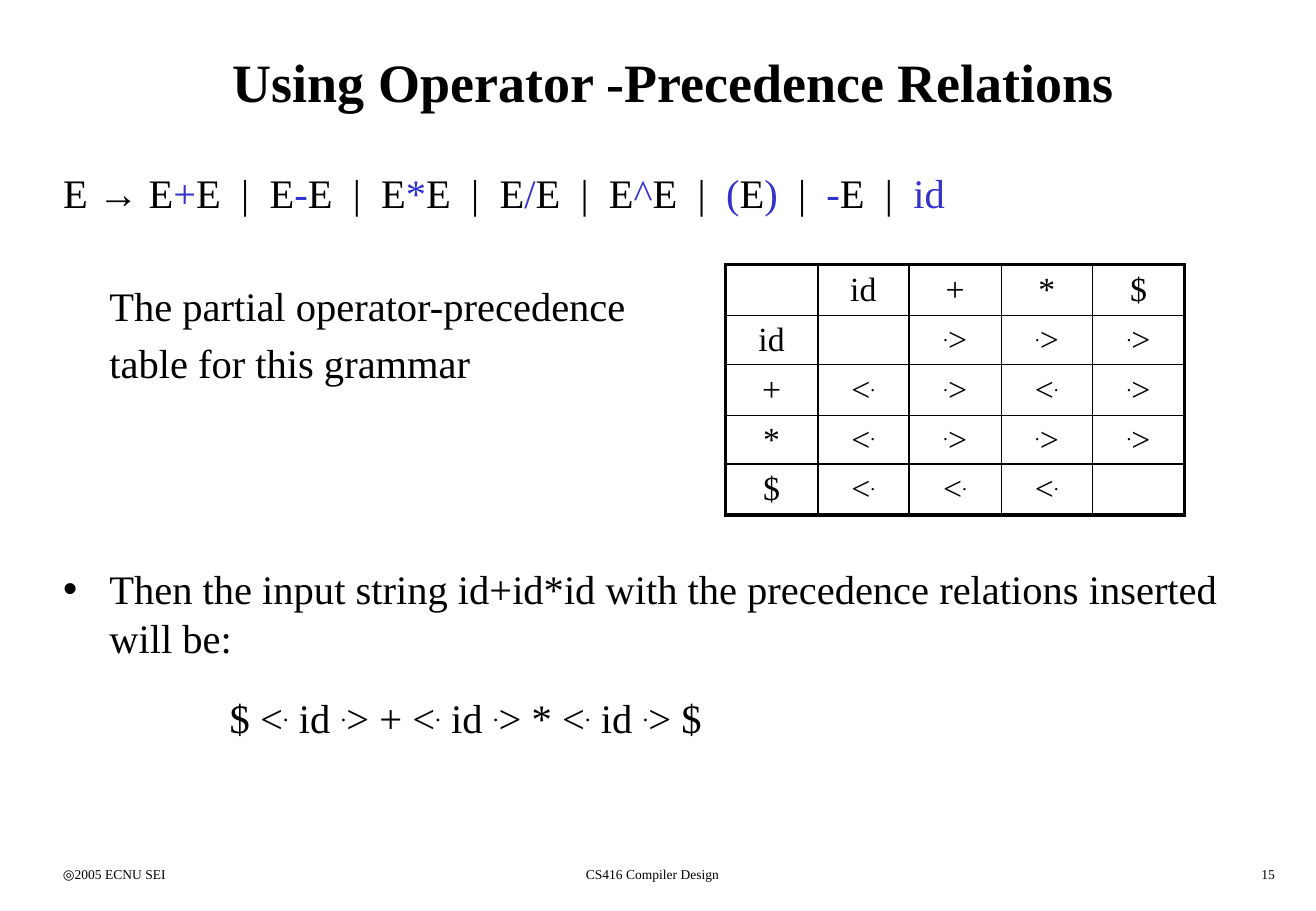
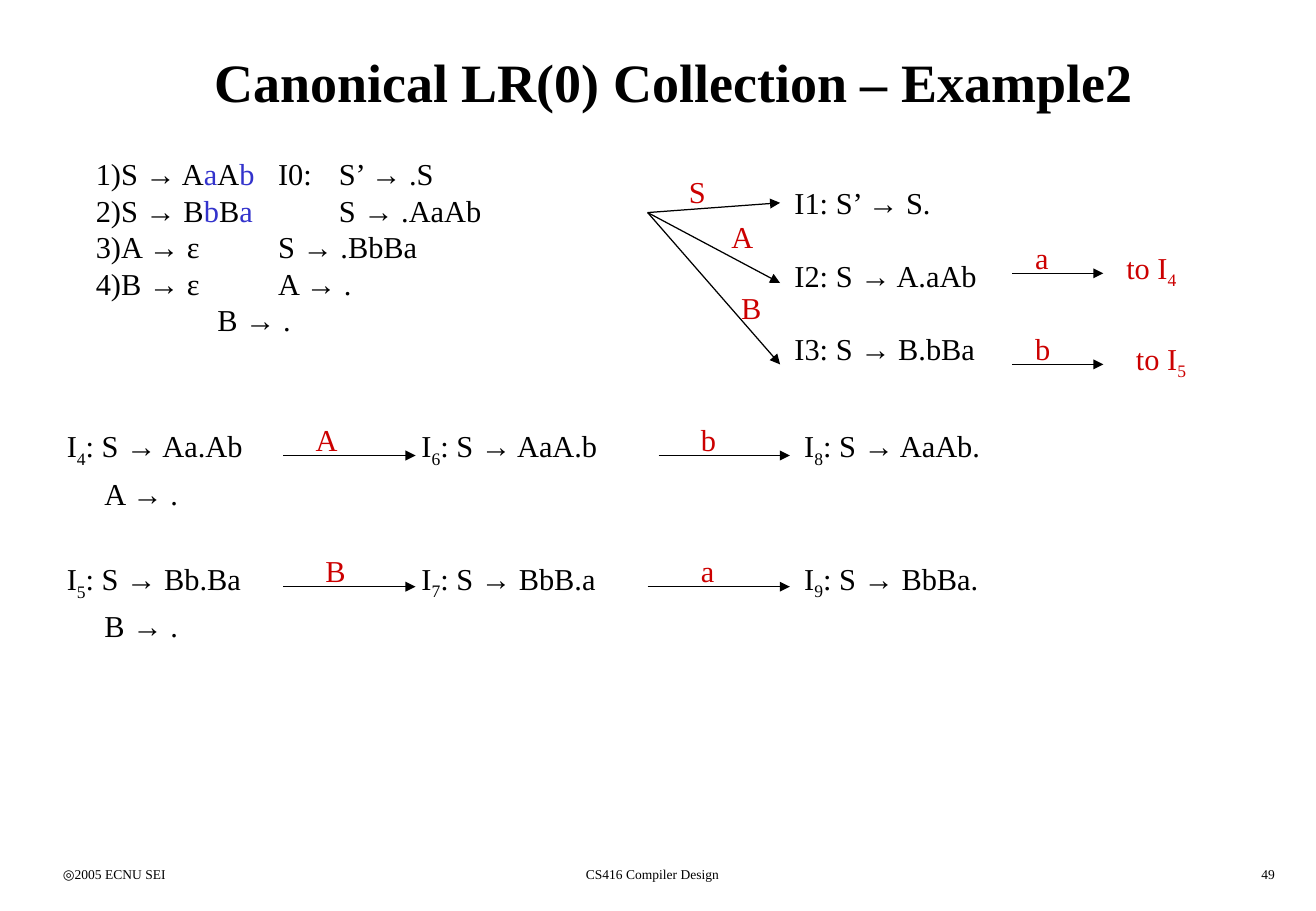
from dataclasses import dataclass
from itertools import accumulate
from typing import Any, NamedTuple, Optional

from lxml.etree import SubElement
from pptx import Presentation
from pptx.dml.color import RGBColor
from pptx.enum.shapes import MSO_CONNECTOR
from pptx.enum.text import MSO_ANCHOR, MSO_AUTO_SIZE, PP_ALIGN
from pptx.oxml.ns import qn
from pptx.util import Emu, Pt

EMU_PER_PX = 9144  # 100 px to the inch
COLORS = {"text": "000000", "terminal": "3333CC", "transition": "CC0000"}
FONT = "Times New Roman"
Style = dict[str, Any]

# Run styles for the marked parts of a text
TERMINAL: Style = {"color": "terminal"}
SUBSCRIPT: Style = {"baseline": -25000}
SUPERSCRIPT: Style = {"baseline": 30000}
WIDE: Style = {"spc": 600}


class Box(NamedTuple):
    left: int
    top: int
    width: int
    height: int


class Arrow(NamedTuple):
    start_x: int
    start_y: int
    end_x: int
    end_y: int


class Label(NamedTuple):
    text: str
    left: int
    top: int
    width: int = 35


@dataclass
class Line:
    """A paragraph; text between ~ marks takes the marked style."""
    text: str
    marked: Optional[Style] = None
    before: float = 0
    margin: int = 0
    bullet: bool = False
    tabs: tuple[int, ...] = ()
    align: PP_ALIGN = PP_ALIGN.LEFT


TITLE_BOX = Box(42, 17, 1025, 100)
FOOTER_BOXES = (Box(42, 708, 226, 25), Box(334, 708, 406, 25), Box(833, 708, 226, 25))
FOOTER_ALIGNS = (PP_ALIGN.LEFT, PP_ALIGN.CENTER, PP_ALIGN.RIGHT)


def px(value: int) -> Emu:
    return Emu(value * EMU_PER_PX)


# Text
def add_runs(paragraph, text: str, size: float, marked: Optional[Style] = None,
             color: str = "text", bold: bool = False) -> None:
    for index, piece in enumerate(text.split("~")):
        if not piece:
            continue
        style = dict(marked or {}) if index % 2 else {}
        run = paragraph.add_run()
        run.text = piece
        run.font.color.rgb = RGBColor.from_string(COLORS[style.pop("color", color)])
        for name, value in {"name": FONT, "size": Pt(size), "bold": bold}.items():
            setattr(run.font, name, value)
        for name, value in style.items():
            run.font._element.set(name, str(value))


def format_paragraph(paragraph, line: Line) -> None:
    properties = paragraph._p.get_or_add_pPr()
    properties.set("marL", str(px(line.margin)))
    properties.set("indent", str(-px(line.margin) if line.bullet else 0))
    if line.bullet:
        SubElement(properties, qn("a:buChar"), char="•")
    else:
        SubElement(properties, qn("a:buNone"))
    if line.tabs:
        tab_list = SubElement(properties, qn("a:tabLst"))
        for position in line.tabs:
            SubElement(tab_list, qn("a:tab"), pos=str(px(position)), algn="l")
    for name, value in {"space_before": Pt(line.before), "alignment": line.align}.items():
        setattr(paragraph, name, value)


def write_lines(frame, lines: list[Line], size: float, color: str = "text",
                bold: bool = False) -> None:
    for index, line in enumerate(lines):
        paragraph = frame.add_paragraph() if index else frame.paragraphs[0]
        format_paragraph(paragraph, line)
        add_runs(paragraph, line.text, size, line.marked, color, bold)


def place(shape, box: Box) -> None:
    for name, value in box._asdict().items():
        setattr(shape, name, px(value))


def add_text(slide, box: Box, lines: list[Line], size: float = 18,
             color: str = "text", wrap: bool = True) -> None:
    frame = slide.shapes.add_textbox(*map(px, box)).text_frame
    frame.word_wrap = wrap
    write_lines(frame, lines, size, color)


# Slide frame: title, body and footers
def add_slide(presentation, title: str, number: int, body_box: Box):
    slide = presentation.slides.add_slide(presentation.slide_layouts[1])
    heading, body = slide.shapes.title, slide.placeholders[1]
    for shape, box, anchor in ((heading, TITLE_BOX, MSO_ANCHOR.MIDDLE),
                               (body, body_box, MSO_ANCHOR.TOP)):
        place(shape, box)
        shape.text_frame.auto_size = MSO_AUTO_SIZE.NONE
        shape.text_frame.vertical_anchor = anchor
    write_lines(heading.text_frame, [Line(title, align=PP_ALIGN.CENTER)], 32, bold=True)
    footers = ("◎2005 ECNU SEI", "CS416 Compiler Design", str(number))
    for box, text, align in zip(FOOTER_BOXES, footers, FOOTER_ALIGNS):
        add_text(slide, box, [Line(text, align=align)], 8)
    return slide, body.text_frame


# Lines and arrows
def add_arrow(slide, arrow: Arrow) -> None:
    connector = slide.shapes.add_connector(MSO_CONNECTOR.STRAIGHT, *map(px, arrow))
    connector.line.color.rgb = RGBColor.from_string(COLORS["text"])
    connector.line.width = Pt(0.75)
    SubElement(connector.line._get_or_add_ln(), qn("a:tailEnd"), type="triangle")
    SubElement(connector._element.spPr, qn("a:effectLst"))


def add_border(cell, side: str, width: float) -> None:
    border = SubElement(cell._tc.get_or_add_tcPr(), qn(f"a:ln{side}"), w=str(Pt(width)))
    fill = SubElement(border, qn("a:solidFill"))
    SubElement(fill, qn("a:srgbClr"), val=COLORS["text"])


# Table of precedence relations
def add_precedence_table(slide) -> None:
    symbols = ("id", "+", "*", "$")
    relations = (" >>>", "<><>", "<>>>", "<<< ")
    marks = {"<": "<~.~", ">": "~.~>", " ": ""}
    rows = [("", *symbols)]
    rows += [(symbol, *(marks[sign] for sign in signs))
             for symbol, signs in zip(symbols, relations)]
    widths, heights = (76, 75, 76, 75, 76), (42, 40, 42, 40, 42)
    box = Box(597, 218, sum(widths), sum(heights))
    table = slide.shapes.add_table(len(rows), len(widths), *map(px, box)).table
    table.first_row = table.horz_banding = False
    for column, width in zip(table.columns, widths):
        column.width = px(width)
    last = len(rows) - 1
    for row_index, texts in enumerate(rows):
        table.rows[row_index].height = px(heights[row_index])
        for column_index, text in enumerate(texts):
            cell = table.cell(row_index, column_index)
            outer = {"L": column_index == 0, "R": column_index == last,
                     "T": row_index == 0, "B": row_index == last}
            for side, is_outer in outer.items():
                add_border(cell, side, 2.25 if is_outer else 1)
            cell.fill.background()
            for name, value in {"margin_top": px(2), "margin_bottom": px(2),
                                "vertical_anchor": MSO_ANCHOR.MIDDLE}.items():
                setattr(cell, name, value)
            write_lines(cell.text_frame,
                        [Line(text, SUPERSCRIPT, align=PP_ALIGN.CENTER)], 20)


def build_relations_slide(presentation) -> None:
    slide, body = add_slide(presentation, "Using Operator -Precedence Relations", 15,
                            Box(42, 133, 973, 558))
    write_lines(body, [
        Line("E → E~+~E", TERMINAL),
        Line("The partial operator-precedence", before=38.4, margin=38),
        Line("table for this grammar", before=4.8, margin=38),
        Line("Then the input string id+id*id with the precedence relations inserted "
             "will be:", before=105.6, margin=38, bullet=True),
        Line("$ <~.~ id ~.~> + <~.~ id ~.~> * <~.~ id ~.~> $", SUPERSCRIPT,
             before=18.8, margin=137),
    ], 24)
    # Remaining alternatives of the grammar, with wide gaps round each bar
    for alternative in ("E~-~E", "E~*~E", "E~/~E", "E~^~E", "~(~E~)~", "~-~E", "~id~"):
        add_runs(body.paragraphs[0], "~ |~", 24, WIDE)
        add_runs(body.paragraphs[0], f" {alternative}", 24, TERMINAL)
    add_precedence_table(slide)


def build_collection_slide(presentation) -> None:
    slide, body = add_slide(presentation, "Canonical LR(0) Collection – Example2", 49,
                            Box(45, 347, 252, 201))
    # Item sets I4 to I9
    write_lines(body, [
        Line("I~4~: S → Aa.Ab", SUBSCRIPT),
        Line("A → .", before=3.6, margin=31),
        Line("I~5~: S → Bb.Ba", SUBSCRIPT, before=28.8),
        Line("B → .", before=3.6, margin=31),
    ], 18)
    for box, upper, lower in (
            (Box(337, 347, 244, 175), "I~6~: S → AaA.b", "I~7~: S → BbB.a"),
            (Box(652, 347, 236, 175), "I~8~: S → AaAb.", "I~9~: S → BbBa.")):
        add_text(slide, box, [Line(upper, SUBSCRIPT), Line(lower, SUBSCRIPT, before=54)])

    # Grammar rules beside item set I0
    rules = ("1)S → A~a~A~b~\tI0:\tS’ → .S", "2)S → B~b~B~a~\t\tS → .AaAb",
             "3)A → ε\t\tS → .BbBa", "4)B → ε\t\tA → .", "\t\tB → .")
    add_text(slide, Box(69, 123, 480, 160),
             [Line(rule, TERMINAL, tabs=(268, 300)) for rule in rules])

    # Item sets I1 to I3
    targets = ("I1: S’ → S.", "I2: S → A.aAb", "I3: S → B.bBa")
    add_text(slide, Box(644, 147, 220, 160),
             [Line(target, before=21.6 if index else 0)
              for index, target in enumerate(targets)])

    # Transitions
    arrows = [Arrow(533, 175, 642, end_y) for end_y in (167, 233, 300)]
    arrows += [Arrow(233, y, 342, y) for y in (375, 483)]
    arrows += [Arrow(start_x, y, 650, y) for start_x, y in ((542, 375), (533, 483))]
    arrows += [Arrow(833, y, 908, y) for y in (225, 300)]
    for arrow in arrows:
        add_arrow(slide, arrow)
    labels = (
        Label("S", 557, 138), Label("A", 592, 175), Label("B", 600, 233),
        Label("A", 250, 342), Label("B", 258, 450),
        Label("b", 567, 342), Label("a", 567, 450),
        Label("a", 842, 192), Label("b", 842, 267),
        Label("to I~4~", 917, 200, 62), Label("to I~5~", 925, 275, 62),
    )
    for label in labels:
        add_text(slide, Box(label.left, label.top, label.width, 40),
                 [Line(label.text, SUBSCRIPT)], color="transition", wrap=False)


def main() -> None:
    presentation = Presentation()
    presentation.slide_width, presentation.slide_height = px(1083), px(750)
    build_relations_slide(presentation)
    build_collection_slide(presentation)
    presentation.save("out.pptx")


if __name__ == "__main__":
    main()
